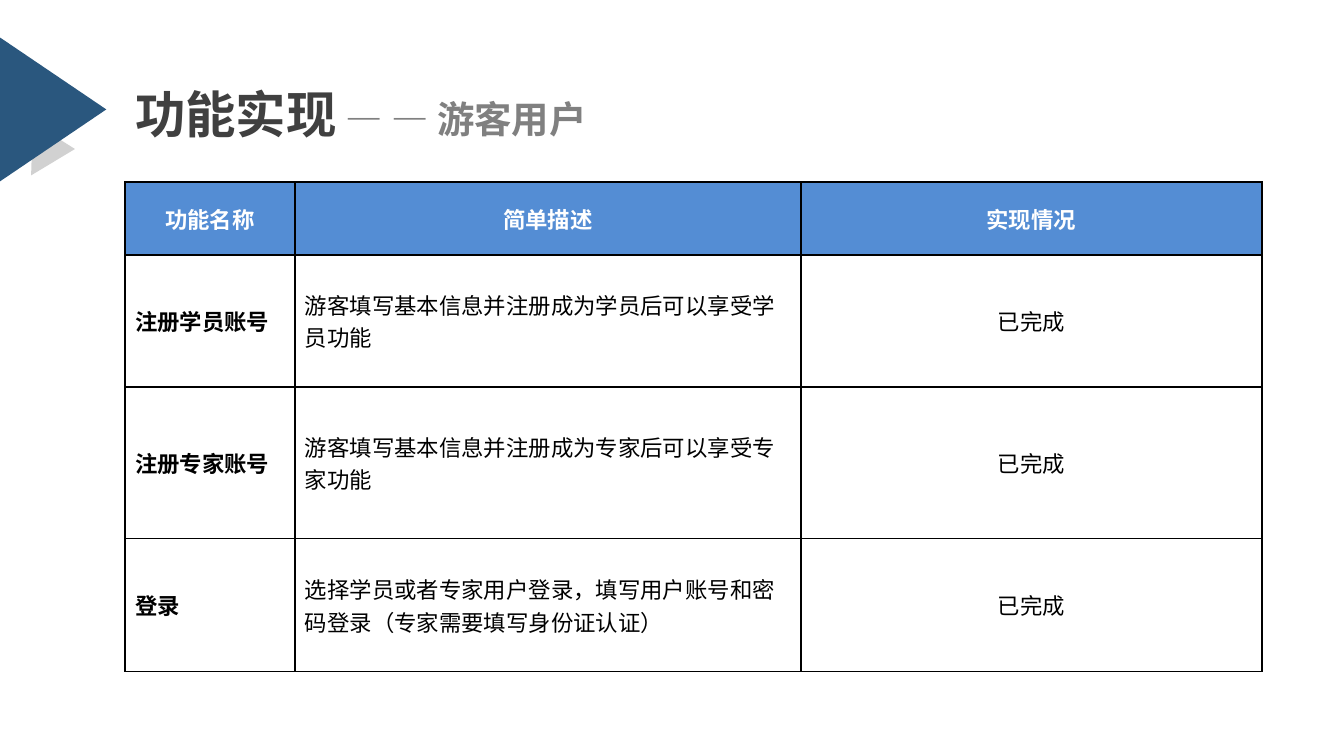
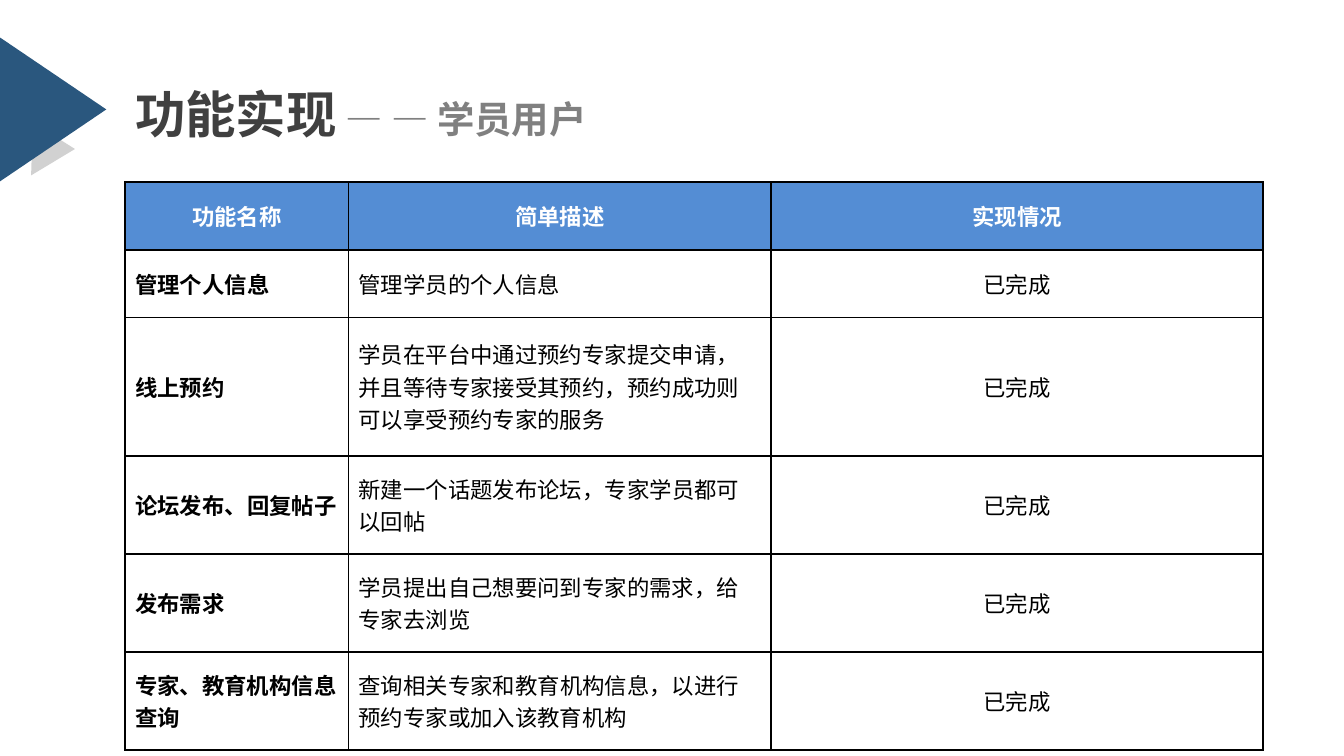
from dataclasses import dataclass

from lxml.etree import SubElement
from pptx import Presentation
from pptx.dml.color import RGBColor
from pptx.enum.shapes import MSO_SHAPE
from pptx.enum.text import MSO_ANCHOR, MSO_AUTO_SIZE, PP_ALIGN
from pptx.oxml.ns import qn
from pptx.util import Pt

# Shared style
HEADING_FONT = "Noto Sans CJK SC"
BODY_FONT = "Times New Roman"
BLACK, WHITE = "000000", "FFFFFF"
NAVY, HEADER_BLUE = "2A577E", "548DD4"
DARK_GREY, GREY = "404040", "808080"
LEFT = 67
HEADERS = ("功能名称", "简单描述", "实现情况")
DONE = "已完成"


@dataclass
class Triangle:
    left: float
    top: float
    width: float
    height: float
    rotation: float
    apex: float
    color: str
    opacity: int = 100


@dataclass
class Feature:
    """A "|" in the texts switches between the body and the heading font."""
    name: str
    description: str
    height: float


@dataclass
class FeatureSlide:
    user: str
    title_width: float
    column_widths: tuple
    header_height: float
    features: list


CORNER = [
    Triangle(8.6, 64.8, 27.4, 23.8, 329, 0.56, GREY, 36),
    Triangle(-10, 30.2, 77, 56.9, 90, 0.5, NAVY),
]

SLIDES = [
    FeatureSlide("游客用户", 328, (91, 271, 247), 39, [
        Feature("注册学员账号", "游客填写基本信息并注册成为学员后可以享受学员功能", 70.7),
        Feature("注册专家账号", "游客填写基本信息并注册成为专家后可以享受专家功能", 81.4),
        Feature("登录", "选择学员或者专家用户登录，填写用户账号和密码登录（专家需要填写身份证认证）", 71.2),
    ]),
    FeatureSlide("学员用户", 310, (119.7, 226.5, 263.5), 36.5, [
        Feature("|管理|个人信息", "管理学员的个人信息", 36),
        Feature("|线上|预约",
                "学员在平台中通过预约专家提交申请|，|并且等待专家接受其预约|，|预约成功则可以享受预约专家的服务", 74.2),
        Feature("|论坛|发布|、|回复帖子", "新建一个话题发布论坛|，|专家学员都可以回帖", 52.5),
        Feature("|发布需求", "学员提出自己想要问到专家的需求|，|给专家去浏览", 52.5),
        Feature("|专家、教育机构信息查询",
                "查询相关专家|和教育机构信息，以进行预约专家或加入该教育机构", 52.5),
    ]),
]


def rgb(color: str) -> RGBColor:
    return RGBColor.from_string(color)


def add_text(paragraph, text: str, *, size: float = 12, color: str = BLACK,
             bold: bool = False, font: str = BODY_FONT) -> None:
    run = paragraph.add_run()
    run.text = text
    run.font.size = Pt(size)
    run.font.bold = bold
    run.font.color.rgb = rgb(color)
    run.font.name = font
    SubElement(run.font._element, qn("a:ea"), typeface=HEADING_FONT)


def draw_triangle(slide, triangle: Triangle) -> None:
    shape = slide.shapes.add_shape(
        MSO_SHAPE.ISOSCELES_TRIANGLE, Pt(triangle.left), Pt(triangle.top),
        Pt(triangle.width), Pt(triangle.height))
    shape.adjustments[0] = triangle.apex
    shape.rotation = triangle.rotation
    shape.shadow.inherit = False
    shape.line.fill.background()
    shape.fill.solid()
    shape.fill.fore_color.rgb = rgb(triangle.color)
    if triangle.opacity < 100:
        color = shape._element.spPr.find(qn("a:solidFill"))[0]
        SubElement(color, qn("a:alpha"), val=str(triangle.opacity * 1000))


def draw_title(slide, user: str, width: float) -> None:
    title = slide.shapes.title
    title.left, title.top, title.width, title.height = Pt(LEFT), Pt(41.8), Pt(width), Pt(38)
    frame = title.text_frame
    frame.margin_left = frame.margin_right = Pt(5.4)
    frame.margin_top = frame.margin_bottom = Pt(2.7)
    frame.vertical_anchor = MSO_ANCHOR.TOP
    frame.word_wrap = True
    frame.auto_size = MSO_AUTO_SIZE.SHAPE_TO_FIT_TEXT
    paragraph = frame.paragraphs[0]
    paragraph.alignment = PP_ALIGN.LEFT
    add_text(paragraph, "功能实现", size=27, color=DARK_GREY, bold=True, font=HEADING_FONT)
    add_text(paragraph, f" — — {user}", size=20, color=GREY, bold=True, font=HEADING_FONT)


def draw_borders(cell) -> None:
    properties = cell._tc.get_or_add_tcPr()
    for side in ("lnL", "lnR", "lnT", "lnB"):
        line = SubElement(properties, qn(f"a:{side}"), w=str(Pt(1)))
        fill = SubElement(line, qn("a:solidFill"))
        SubElement(fill, qn("a:srgbClr"), val=BLACK)


def fill_cell(cell, text: str, *, header: bool, bold: bool, centered: bool) -> None:
    cell.margin_left = cell.margin_right = Pt(5.4)
    cell.margin_top = cell.margin_bottom = 0
    cell.vertical_anchor = MSO_ANCHOR.MIDDLE
    draw_borders(cell)
    if header:
        cell.fill.solid()
        cell.fill.fore_color.rgb = rgb(HEADER_BLUE)
    else:
        cell.fill.background()
    paragraph = cell.text_frame.paragraphs[0]
    paragraph.alignment = PP_ALIGN.CENTER if centered else PP_ALIGN.LEFT
    for index, part in enumerate(text.split("|")):
        if part:
            add_text(paragraph, part, bold=bold, color=WHITE if header else BLACK,
                     font=HEADING_FONT if index % 2 else BODY_FONT)


def draw_table(slide, content: FeatureSlide) -> None:
    rows = [HEADERS] + [(item.name, item.description, DONE) for item in content.features]
    heights = [content.header_height] + [item.height for item in content.features]
    table = slide.shapes.add_table(
        len(rows), len(HEADERS), Pt(LEFT), Pt(97.5),
        Pt(sum(content.column_widths)), Pt(sum(heights))).table
    table.horz_banding = False
    for column, width in zip(table.columns, content.column_widths):
        column.width = Pt(width)
    for row_index, (texts, height) in enumerate(zip(rows, heights)):
        table.rows[row_index].height = Pt(height)
        header = row_index == 0
        for column_index, text in enumerate(texts):
            fill_cell(table.cell(row_index, column_index), text, header=header,
                      bold=header or column_index == 0,
                      centered=header or column_index == 2)


def main() -> None:
    presentation = Presentation()
    presentation.slide_width, presentation.slide_height = Pt(720), Pt(405)
    title_only = presentation.slide_layouts[5]
    for content in SLIDES:
        slide = presentation.slides.add_slide(title_only)
        for triangle in CORNER:
            draw_triangle(slide, triangle)
        draw_title(slide, content.user, content.title_width)
        draw_table(slide, content)
    presentation.save("out.pptx")


if __name__ == "__main__":
    main()
